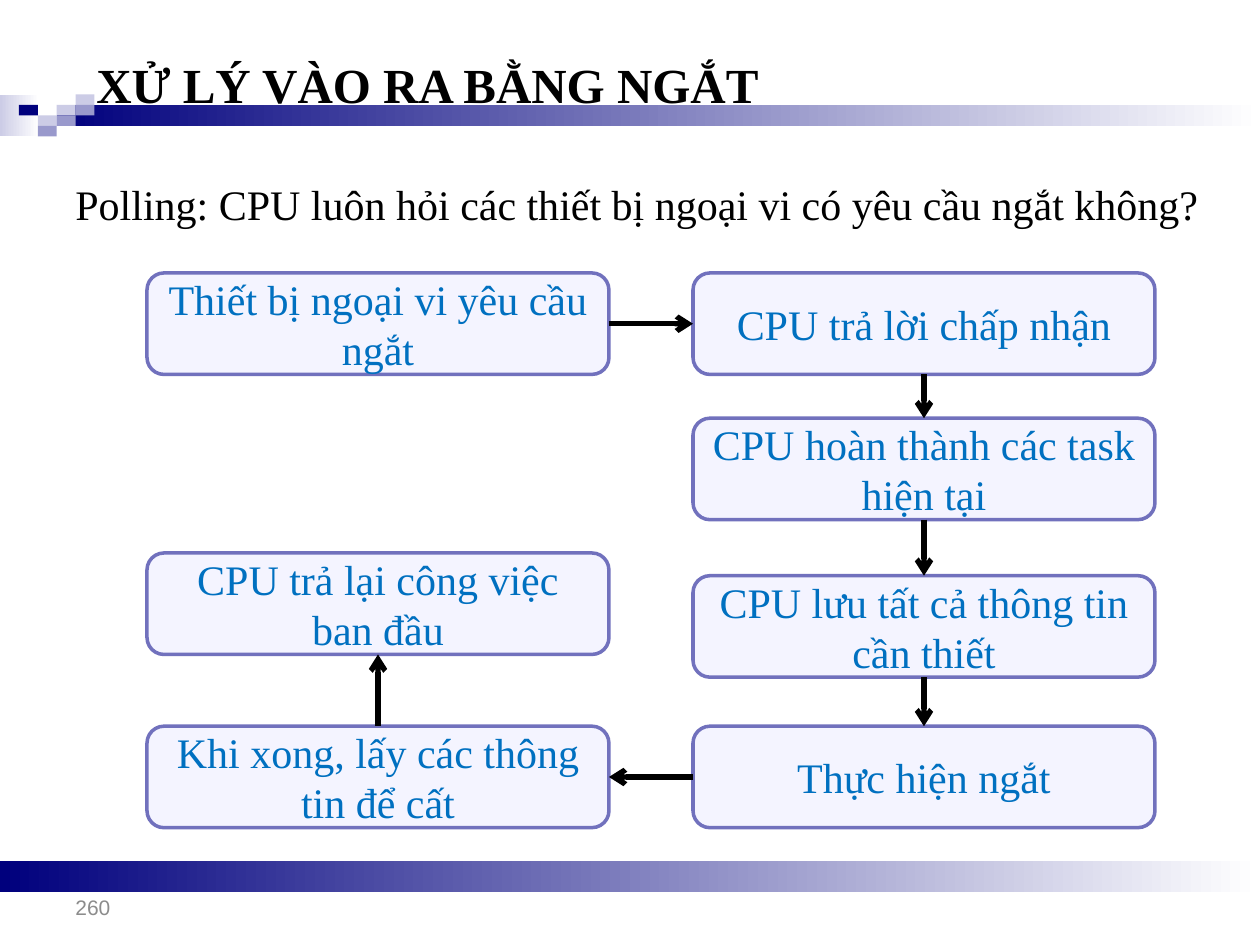
import pptx
import pptx.dml.color
import pptx.enum.shapes
import pptx.enum.text
import pptx.oxml
import pptx.oxml.ns
import pptx.util

Pt = pptx.util.Pt
SHAPES = pptx.enum.shapes.MSO_SHAPE
ANCHORS = pptx.enum.text.MSO_ANCHOR
COLORS = {
    "navy": "00007D",
    "mid": "9999CC",
    "light": "CCCCE6",
    "white": "FFFFFF",
    "black": "000000",
    "gray": "8C8C8C",
    "step_fill": "F4F4FF",
    "step_line": "7171BD",
    "step_text": "0070C0",
}
SERIF = "Times New Roman"
TOP, LEFT, BOTTOM, RIGHT = range(4)


def rgb(name):
    """Return the named colour as an RGBColor."""
    return pptx.dml.color.RGBColor.from_string(COLORS[name])


def add_shape(page, kind, box, fill, line=None):
    """Add a preset shape with a solid fill, or a gradient when fill is a pair."""
    shape = page.shapes.add_shape(kind, *map(Pt, box))
    shape.shadow.inherit = False
    if isinstance(fill, tuple):
        shape.fill.gradient()
        shape.fill.gradient_angle = 0
        for stop, name in zip(shape.fill.gradient_stops, fill):
            stop.color.rgb = rgb(name)
    else:
        shape.fill.solid()
        shape.fill.fore_color.rgb = rgb(fill)
    if line:
        shape.line.color.rgb = rgb(line)
        shape.line.width = Pt(2)
    else:
        shape.line.fill.background()
    return shape


def write(shape, text, size, color, font=SERIF, bold=False, spacing=None):
    """Put one formatted paragraph into a shape and return the paragraph."""
    shape.text_frame.word_wrap = True
    para = shape.text_frame.paragraphs[0]
    para.text = text
    para.line_spacing = spacing
    span = para.runs[0]
    span.font.name = font
    span.font.size = Pt(size)
    span.font.bold = bold
    span.font.color.rgb = rgb(color)
    return para


def add_label(page, box, text, size, color, anchor=ANCHORS.TOP, **style):
    """Add a wrapped text box."""
    label = page.shapes.add_textbox(*map(Pt, box))
    label.text_frame.vertical_anchor = anchor
    write(label, text, size, color, **style)


def add_header(page, box):
    """Draw the gradient band with its mosaic of small tiles."""
    left, top, width, height = box
    tile_width, tile_height = 10.8, height / 4
    bar_left = 3 * tile_width
    add_shape(page, SHAPES.RECTANGLE, (left, top, 22.3, height), ("light", "white"))
    add_shape(page, SHAPES.RECTANGLE,
              (left + bar_left, top + tile_height, width - bar_left, height / 2),
              ("navy", "white"))
    tiles = [(2, 1, "light"), (3, 0, "light"), (3, 1, "mid"), (1, 2, "light"),
             (0, 1, "navy"), (2, 2, "mid"), (1, 3, "mid")]
    for column, row, color in tiles:
        add_shape(page, SHAPES.RECTANGLE,
                  (left + (column + 1) * tile_width, top + row * tile_height,
                   tile_width, tile_height), color)


def add_footer(page, box):
    """Draw the bottom band and the page number below it."""
    left, top, width, height = box
    add_shape(page, SHAPES.RECTANGLE, (left, top, width, 18), ("navy", "white"))
    add_label(page, (left + 36, top, 168, height), "260", 12, "gray",
              anchor=ANCHORS.BOTTOM, font="Arial")


def add_step(page, box, text):
    """Add one rounded step of the flow."""
    step = add_shape(page, SHAPES.ROUNDED_RECTANGLE, box, "step_fill", "step_line")
    step.text_frame.vertical_anchor = ANCHORS.MIDDLE
    para = write(step, text, 24, "step_text")
    para.alignment = pptx.enum.text.PP_ALIGN.CENTER
    return step


def add_arrow(page, start, start_side, end, end_side):
    """Connect two steps with an arrow."""
    arrow = page.shapes.add_connector(
        pptx.enum.shapes.MSO_CONNECTOR.STRAIGHT, 0, 0, 0, 0)
    arrow.begin_connect(start, start_side)
    arrow.end_connect(end, end_side)
    arrow.line.color.rgb = rgb("black")
    arrow.line.width = Pt(3)
    properties = arrow.line._get_or_add_ln()
    properties.append(pptx.oxml.parse_xml(
        f'<a:tailEnd {pptx.oxml.ns.nsdecls("a")} type="arrow"/>'))
    properties.getparent().append(pptx.oxml.parse_xml(
        f'<a:effectLst {pptx.oxml.ns.nsdecls("a")}/>'))


def add_flow(page, box):
    """Lay out the interrupt steps in two columns and link them in order."""
    left, top, width, height = box
    step_width, step_height = 264, 58
    right_column = width - step_width
    last_row = height - step_height
    steps = [
        (0, 0, "Thiết bị ngoại vi yêu cầu ngắt"),
        (right_column, 0, "CPU trả lời chấp nhận"),
        (right_column, 83, "CPU hoàn thành các task hiện tại"),
        (right_column, 173, "CPU lưu tất cả thông tin cần thiết"),
        (right_column, last_row, "Thực hiện ngắt"),
        (0, last_row, "Khi xong, lấy các thông tin để cất"),
        (0, 160, "CPU trả lại công việc ban đầu"),
    ]
    sides = [(RIGHT, LEFT)] + [(BOTTOM, TOP)] * 3 + [(LEFT, RIGHT), (TOP, BOTTOM)]
    shapes = [add_step(page, (left + x, top + y, step_width, step_height), text)
              for x, y, text in steps]
    for start, end, (start_side, end_side) in zip(shapes, shapes[1:], sides):
        add_arrow(page, start, start_side, end, end_side)


def main():
    """Build the slide and save it."""
    deck = pptx.Presentation()
    deck.slide_width, deck.slide_height = Pt(720), Pt(540)
    page = deck.slides.add_slide(deck.slide_layouts[6])
    add_header(page, (0, 54, 720, 24))
    add_footer(page, (0, 492, 720, 37))
    add_label(page, (48, 17.5, 648, 48), "XỬ LÝ VÀO RA BẰNG NGẮT", 28, "black",
              bold=True, spacing=1.3)
    add_label(page, (36, 84, 672, 96),
              "Polling: CPU luôn hỏi các thiết bị ngoại vi có yêu cầu ngắt không?",
              24, "black", spacing=1.5)
    add_flow(page, (84, 156, 576, 317))
    deck.save("out.pptx")


if __name__ == "__main__":
    main()
